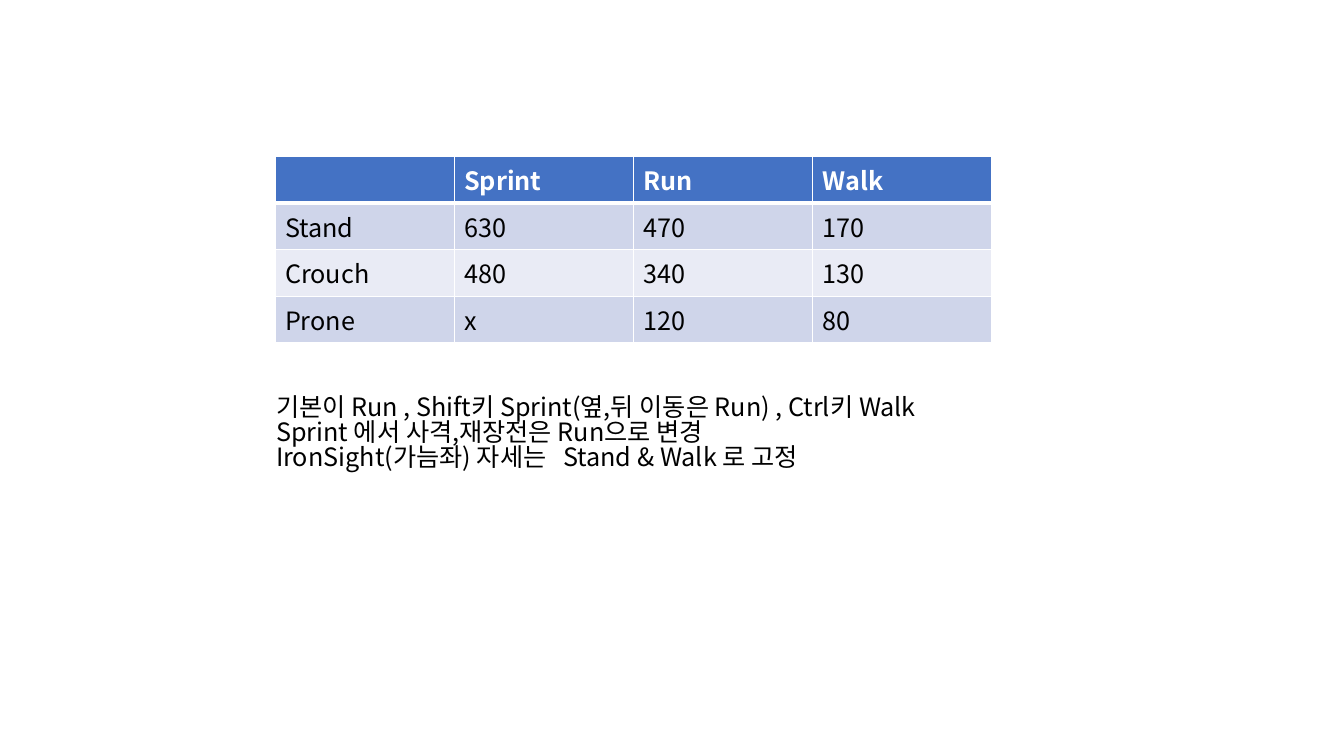
from dataclasses import dataclass

from lxml import etree
from pptx import Presentation
from pptx.dml.color import RGBColor
from pptx.enum.text import MSO_AUTO_SIZE
from pptx.oxml.ns import qn
from pptx.util import Cm, Pt

GROW = MSO_AUTO_SIZE.SHAPE_TO_FIT_TEXT


@dataclass(frozen=True)
class Theme:
    font: str = "Noto Sans CJK KR"
    size: int = 18
    header: str = "4472C4"
    bands: tuple[str, ...] = ("CFD5EA", "E9EBF5")
    white: str = "FFFFFF"
    black: str = "000000"
    thin: int = 1
    thick: int = 3


@dataclass(frozen=True)
class Box:
    left: float
    top: float
    width: float
    height: float

    def emu(self) -> tuple[Cm, Cm, Cm, Cm]:
        return Cm(self.left), Cm(self.top), Cm(self.width), Cm(self.height)


@dataclass(frozen=True)
class Piece:
    text: str
    spacing: int = 0


THEME = Theme()
SPEED_BOX = Box(6.93, 3.94, 18.06, 4.12)
NOTES_BOX = Box(6.71, 9.86, 19.1, 2.57)
NOTES_LINE_SPACING = 0.83

SPEEDS = [
    ["", "Sprint", "Run", "Walk"],
    ["Stand", "630", "470", "170"],
    ["Crouch", "480", "340", "130"],
    ["Prone", "x", "120", "80"],
]
NOTES = [
    [Piece("기본이 Run , Shift키 Sprint(옆,뒤 이동은 Run) , Ctrl키 Walk")],
    [Piece("Sprint 에서 사격,재장전은 Run으로 변경")],
    [Piece("IronSight(가늠좌) 자세는"), Piece(" ", 8), Piece("Stand & Walk 로 고정")],
]


def add_run(p, piece: Piece, color: str, bold: bool = False) -> None:
    r = p.add_run()
    r.text = piece.text
    r.font.name = THEME.font
    r.font.size = Pt(THEME.size)
    r.font.bold = bold
    r.font.color.rgb = RGBColor.from_string(color)
    rPr = r._r.get_or_add_rPr()
    etree.SubElement(rPr, qn("a:ea"), typeface=THEME.font)
    if piece.spacing:
        rPr.set("spc", str(piece.spacing * 100))


def add_borders(cell, top: int, bottom: int) -> None:
    tcPr = cell._tc.get_or_add_tcPr()
    widths = {"lnL": THEME.thin, "lnR": THEME.thin, "lnT": top, "lnB": bottom}
    for side, width in widths.items():
        ln = etree.SubElement(tcPr, qn(f"a:{side}"), w=str(Pt(width)))
        fill = etree.SubElement(ln, qn("a:solidFill"))
        etree.SubElement(fill, qn("a:srgbClr"), val=THEME.white)


def add_speed_table(s, box: Box, rows: list[list[str]]) -> None:
    table = s.shapes.add_table(len(rows), len(rows[0]), *box.emu()).table
    for i, row in enumerate(rows):
        is_header = i == 0
        fill = THEME.header if is_header else THEME.bands[(i - 1) % len(THEME.bands)]
        color = THEME.white if is_header else THEME.black
        top = THEME.thick if i == 1 else THEME.thin
        bottom = THEME.thick if is_header else THEME.thin
        for j, text in enumerate(row):
            cell = table.cell(i, j)
            add_borders(cell, top, bottom)
            cell.fill.solid()
            cell.fill.fore_color.rgb = RGBColor.from_string(fill)
            if text:
                add_run(cell.text_frame.paragraphs[0], Piece(text), color, is_header)


def add_notes(s, box: Box, lines: list[list[Piece]]) -> None:
    tf = s.shapes.add_textbox(*box.emu()).text_frame
    tf.word_wrap = True
    tf.auto_size = GROW
    for i, line in enumerate(lines):
        p = tf.add_paragraph() if i else tf.paragraphs[0]
        p.line_spacing = NOTES_LINE_SPACING
        for piece in line:
            add_run(p, piece, THEME.black)


def main() -> None:
    prs = Presentation()
    prs.slide_width, prs.slide_height = Cm(33.87), Cm(19.05)
    s = prs.slides.add_slide(prs.slide_layouts[6])
    add_speed_table(s, SPEED_BOX, SPEEDS)
    add_notes(s, NOTES_BOX, NOTES)
    prs.save("out.pptx")


main()
